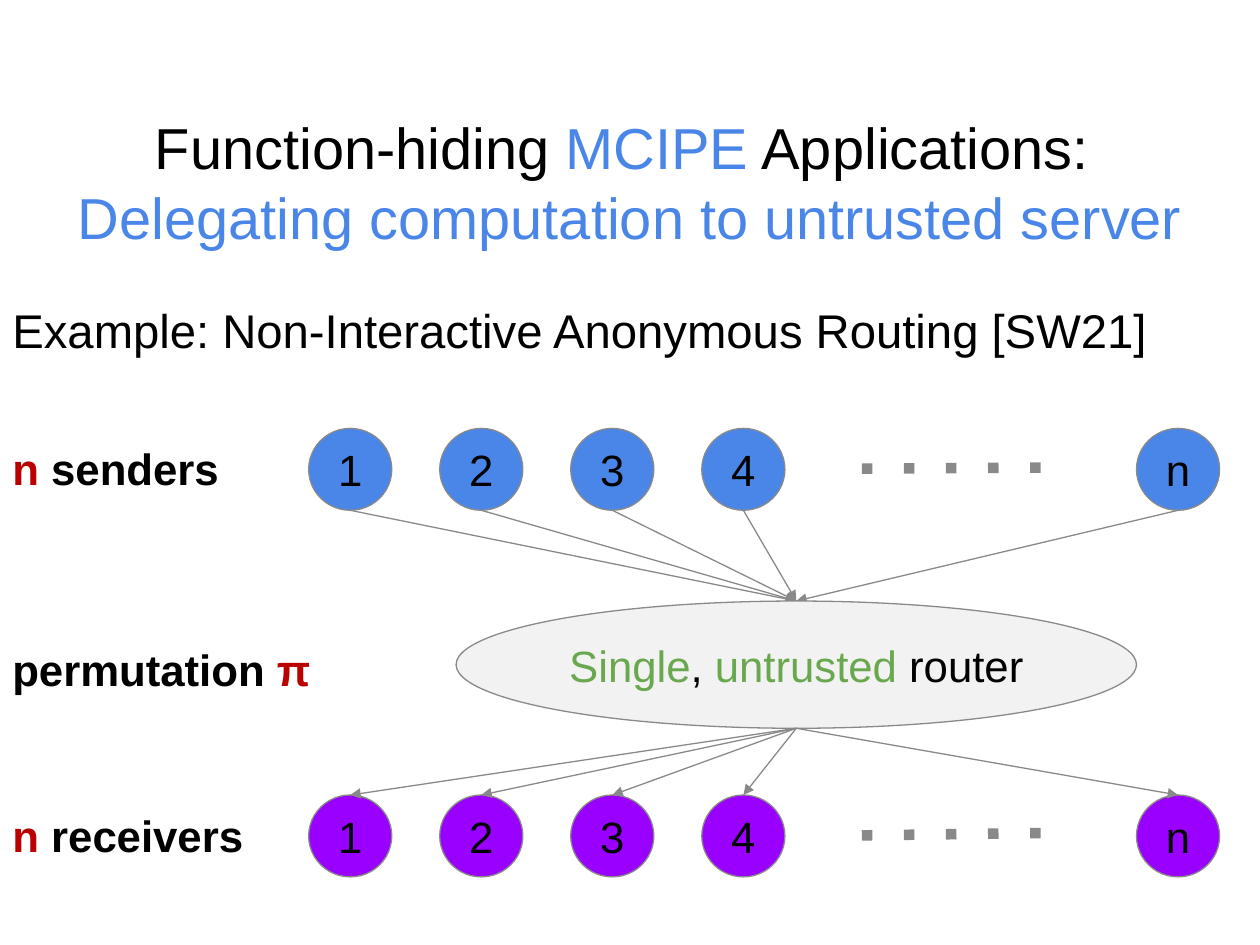
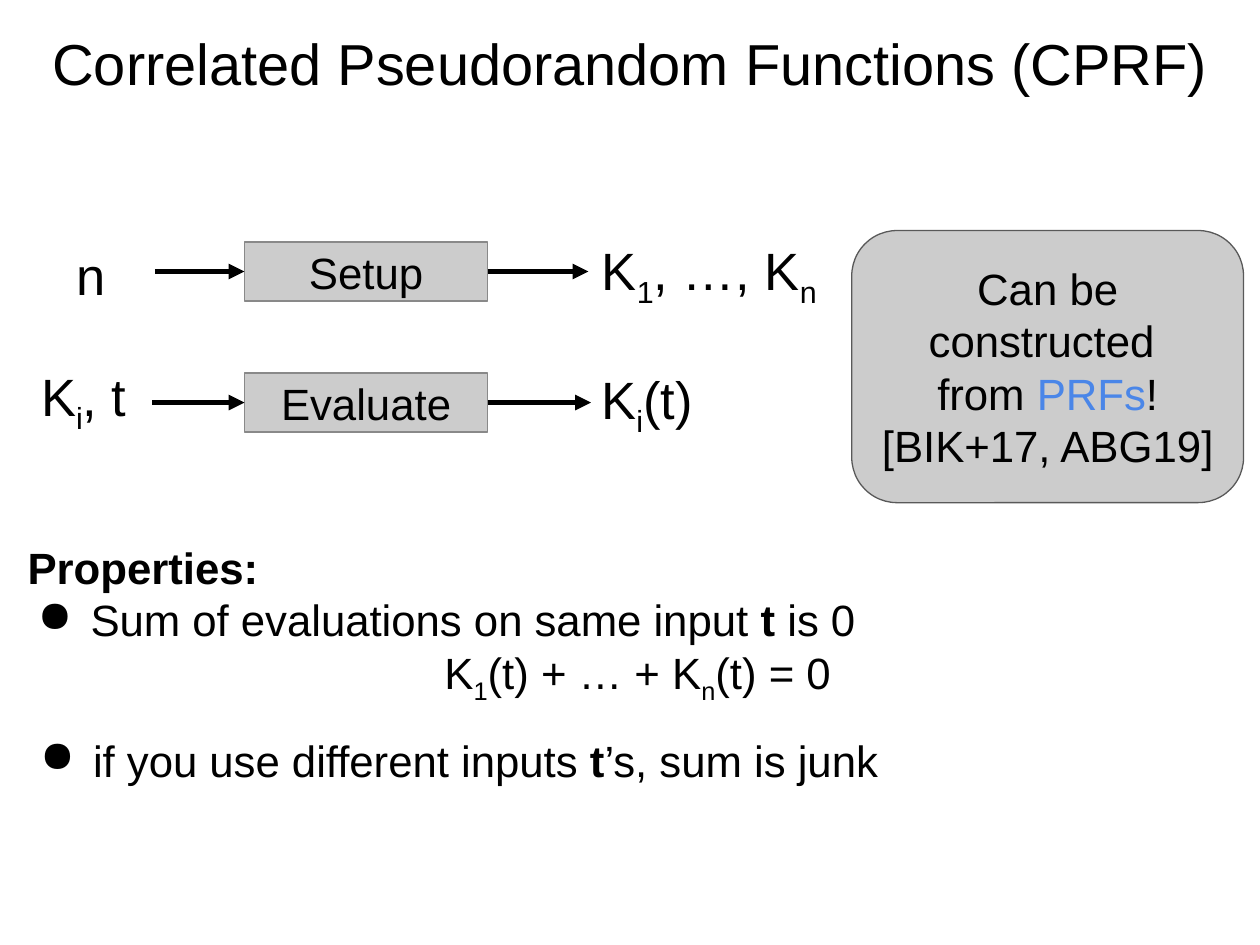
from lxml import etree
from pptx import Presentation
from pptx import util as u
from pptx.dml.color import RGBColor
from pptx.enum import shapes, text
from pptx.oxml import ns

PX = 9144  # 100 px to the inch
FONT = "Arial"
COLOURS = {
    "ink": "000000", "blue": "4A86E8", "purple": "9900FF", "green": "6AA84F",
    "red": "BB0000", "edge": "898989", "dark_edge": "595959",
    "pale": "F2F2F2", "grey": "CCCCCC",
}
ALIGN = {"left": text.PP_ALIGN.LEFT, "center": text.PP_ALIGN.CENTER}
ANCHOR = {"top": text.MSO_ANCHOR.TOP, "middle": text.MSO_ANCHOR.MIDDLE}
TITLE_SIZE, LEAD_SIZE, SYMBOL_SIZE, BODY_SIZE = 33, 27, 30, 25
BLUE, GREEN, RED = ({"colour": name} for name in ("blue", "green", "red"))
BOLD = {"bold": True}
SUB = {"baseline": -25000}


def emu(*lengths):
    return [u.Emu(round(length * PX)) for length in lengths]


def rgb(name):
    return RGBColor.from_string(COLOURS[name])


def add_element(parent, tag, **attributes):
    return etree.SubElement(parent, ns.qn(tag), attributes)


def add_bullet(para):
    properties = para._p.get_or_add_pPr()
    properties.set("marL", str(50 * PX))
    properties.set("indent", str(-42 * PX))
    add_element(add_element(properties, "a:buClr"), "a:srgbClr", val=COLOURS["ink"])
    add_element(properties, "a:buChar", char="●")


def write(shape, paras, size=BODY_SIZE, align="left", anchor="top", bold=False):
    """Fill a shape with paragraphs: lists of spans, each a string or (string, format).

    A paragraph may also be a dict with spans, align and bullet.
    """
    frame = shape.text_frame
    frame.word_wrap = True
    frame.vertical_anchor = ANCHOR[anchor]
    frame.margin_left = frame.margin_right = u.Inches(0.1)
    frame.margin_top = frame.margin_bottom = u.Inches(0.1)
    for index, item in enumerate(paras):
        item = item if isinstance(item, dict) else {"spans": item}
        para = frame.add_paragraph() if index else frame.paragraphs[0]
        para.alignment = ALIGN[item.get("align", align)]
        if item.get("bullet"):
            add_bullet(para)
        for span in item["spans"]:
            words, style = (span, {}) if isinstance(span, str) else span
            run = para.add_run()
            run.text = words
            run.font.name = FONT
            run.font.size = u.Pt(size)
            run.font.bold = style.get("bold", bold)
            run.font.color.rgb = rgb(style.get("colour", "ink"))
            if "baseline" in style:
                run.font._element.set("baseline", str(style["baseline"]))
    return shape


def add_text(page, box, paras, **style):
    return write(page.shapes.add_textbox(*emu(*box)), paras, **style)


def add_title(page, top, paras, size=TITLE_SIZE, align="center"):
    return add_text(page, (0, top, 1000, 80), paras, size=size, align=align)


def add_block(page, kind, box, fill, paras, edge="edge"):
    block = page.shapes.add_shape(kind, *emu(*box))
    block.shadow.inherit = False
    block.fill.solid()
    block.fill.fore_color.rgb = rgb(fill)
    block.line.color.rgb = rgb(edge)
    block.line.width = u.Pt(0.75)
    return write(block, paras, align="center", anchor="middle")


def add_line(page, start, end, colour="edge", width=0.75, dash=None, arrow=True):
    line = page.shapes.add_connector(shapes.MSO_CONNECTOR.STRAIGHT, *emu(*start, *end))
    line.line.color.rgb = rgb(colour)
    line.line.width = u.Pt(width)
    outline = line.line._get_or_add_ln()
    if dash:
        add_element(outline, "a:prstDash", val=dash)
    if arrow:
        add_element(outline, "a:tailEnd", type="triangle")
    add_element(line._element.spPr, "a:effectLst")
    return line


def add_party_row(page, box, fill, label, dots_rise):
    """Place a label, numbered circles and dots; return the circles' centres."""
    left, top, width, height = box
    circle_width = 66
    add_text(page, (left, top + 1, 216, 55), [[("n", RED), label]], bold=True)
    lefts = [left + 245 + 104 * index for index in range(4)]
    lefts.append(left + width - circle_width)
    for circle_left, name in zip(lefts, "1234n"):
        add_block(page, shapes.MSO_SHAPE.OVAL,
                  (circle_left, top, circle_width, height), fill, [[name]])
    middle = top + height // 2
    add_line(page, (left + 684, middle), (left + 840, middle - dots_rise),
             width=6, dash="dot", arrow=False)
    return [circle_left + circle_width // 2 for circle_left in lefts]


def add_routing(page, box):
    left, top, width, height = box
    row_height = 65
    receivers_top = top + height - row_height
    senders = add_party_row(page, (left, top, width, row_height),
                            "blue", " senders", 1)
    receivers = add_party_row(page, (left, receivers_top, width, row_height),
                              "purple", " receivers", 2)
    router_left, router_top, router_width, router_height = left + 362, top + 137, 540, 101
    router_middle = router_left + router_width // 2
    for sender in senders:
        add_line(page, (sender, top + row_height), (router_middle, router_top))
    add_block(page, shapes.MSO_SHAPE.OVAL,
              (router_left, router_top, router_width, router_height), "pale",
              [[("Single", GREEN), ", ", ("untrusted", GREEN), " router"]])
    for receiver in receivers:
        add_line(page, (router_middle, router_top + router_height),
                 (receiver, receivers_top))
    add_text(page, (left, top + 160, 286, 55),
             [["permutation ", ("π", RED)]], bold=True)


def add_algorithm(page, box, name, arrow_start, arrow_end):
    """Place a named box with an arrow into and out of its sides."""
    left, top, width, height = box
    middle = top + height / 2
    block = add_block(page, shapes.MSO_SHAPE.RECTANGLE, box, "grey", [[name]])
    style = {"colour": "ink", "width": 3}
    arrow_in = add_line(page, (arrow_start, middle), (left, middle), **style)
    arrow_in.end_connect(block, 1)
    arrow_out = add_line(page, (left + width, middle), (arrow_end, middle), **style)
    arrow_out.begin_connect(block, 3)


def add_algorithms(page, box):
    left, top, width, height = box
    block_width, block_height = 193, 47
    rows = [("Setup", 111, 455), ("Evaluate", 109, 457)]
    for index, (name, start, end) in enumerate(rows):
        row_top = top + index * (height - block_height)
        add_algorithm(page, (left + 182, row_top, block_width, block_height),
                      name, left + start, left + end)
    symbols = [
        ((9, 0, 102, 52), ["n"]),
        ((446, -10, 210, 71), ["K", ("1", SUB), ", …, K", ("n", SUB)]),
        ((0, 90, 109, 71), ["K", ("i", SUB), ", t"]),
        ((447, 92, 109, 71), ["K", ("i", SUB), "(t)"]),
    ]
    for (across, down, *extent), spans in symbols:
        add_text(page, (left + across, top + down, *extent), [spans],
                 size=SYMBOL_SIZE, align="center", anchor="middle")


def add_properties(page, box):
    left, top, width, height = box
    add_text(page, (left, top, width, 127), [
        [("Properties:", BOLD)],
        {"spans": ["Sum of evaluations on same input ", ("t", BOLD), " is 0"],
         "bullet": True},
        {"spans": ["K", ("1", SUB), "(t) + … + K", ("n", SUB), "(t) = 0"],
         "align": "center"},
    ])
    add_text(page, (left + 2, top + height - 86, width - 15, 86), [
        {"spans": ["if you use different inputs ", ("t", BOLD), "’s, sum is junk"],
         "bullet": True},
    ])


def build_routing_page(page):
    add_title(page, 79, [
        ["Function-hiding ", ("MCIPE", BLUE), " Applications: "],
        [("Delegating computation to untrusted server", BLUE)],
    ])
    add_title(page, 229, [["Example: Non-Interactive Anonymous Routing [SW21]"]],
              size=LEAD_SIZE, align="left")
    add_routing(page, (0, 340, 968, 356))


def build_cprf_page(page):
    add_title(page, 12, [["Correlated Pseudorandom Functions (CPRF)"]])
    add_algorithms(page, (12, 192, 656, 151))
    add_properties(page, (12, 419, 988, 239))
    add_block(page, shapes.MSO_SHAPE.ROUNDED_RECTANGLE, (676, 183, 311, 216), "grey", [
        ["Can be constructed "],
        ["from ", ("PRFs", BLUE), "! [BIK+17, ABG19]"],
    ], edge="dark_edge")


def main():
    deck = Presentation()
    deck.slide_width, deck.slide_height = emu(1000, 750)
    for build in (build_routing_page, build_cprf_page):
        build(deck.slides.add_slide(deck.slide_layouts[6]))
    deck.save("out.pptx")


if __name__ == "__main__":
    main()
